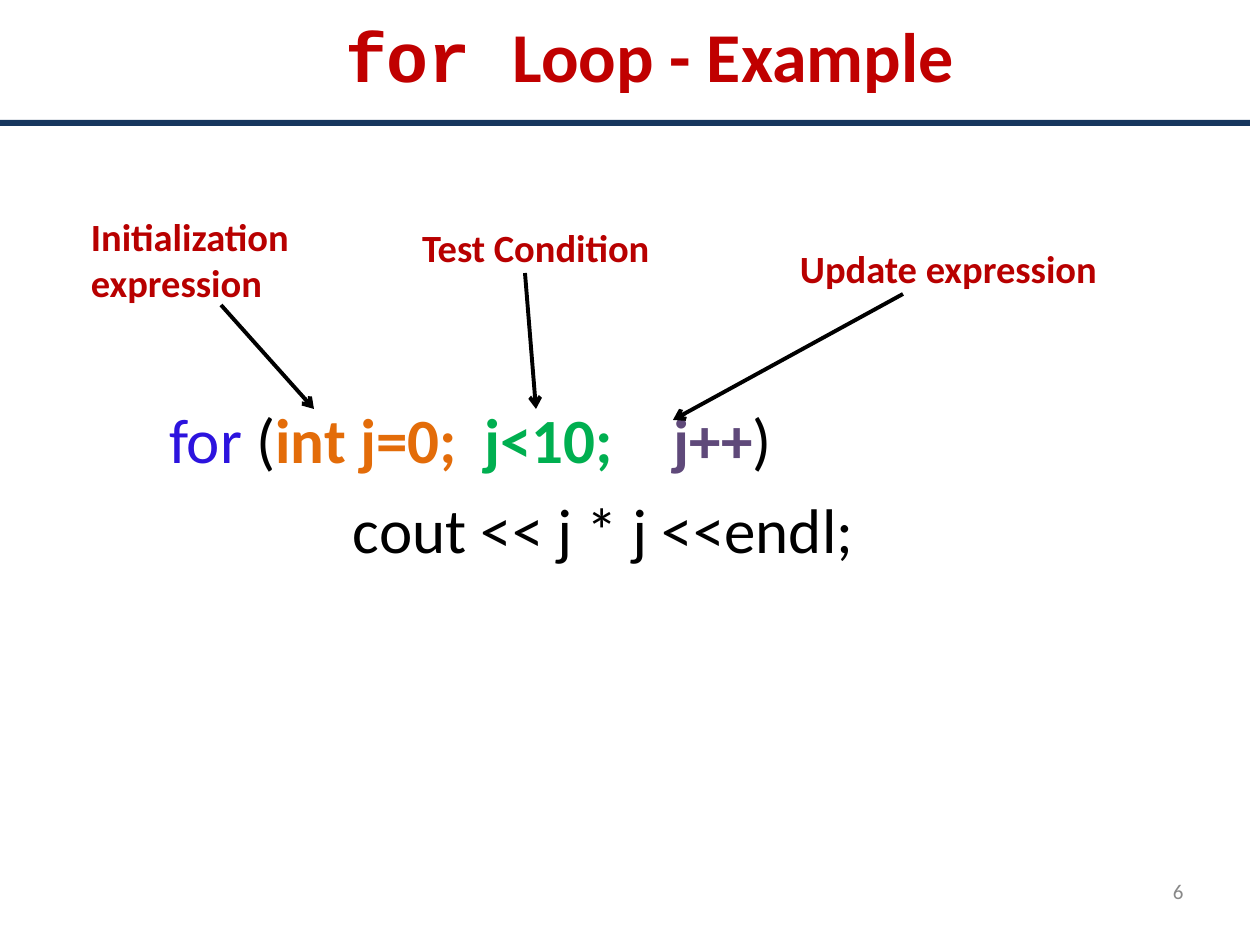
from lxml import etree
from pptx import Presentation
from pptx.dml.color import RGBColor
from pptx.enum.shapes import MSO_CONNECTOR, MSO_SHAPE
from pptx.enum.text import MSO_ANCHOR, MSO_AUTO_SIZE, PP_ALIGN
from pptx.oxml.ns import qn
from pptx.util import Pt

STRAIGHT, RECT = MSO_CONNECTOR.STRAIGHT, MSO_SHAPE.RECTANGLE
TOP, LEFT, FIXED = MSO_ANCHOR.TOP, PP_ALIGN.LEFT, MSO_AUTO_SIZE.NONE


class Theme:
    font, mono = "Calibri", "Courier New"
    title, code, label, page = 40, 36, 22, 12
    red, dark_red, navy = "C00000", "B80000", "17375E"
    blue, orange, green, purple = "2C13DE", "E36C09", "00AF50", "5F497A"
    black, gray = "000000", "888888"


# Content: each line is a list of (text, format) runs
TITLE = [[("for ", {"font": Theme.mono}), ("Loop - Example", {})]]
CODE = [
    [("for ", {"color": Theme.blue}), ("(", {}),
     ("int j=0;\t", {"color": Theme.orange, "bold": True}),
     ("j<10;\t", {"color": Theme.green, "bold": True}),
     ("j++", {"color": Theme.purple, "bold": True}), (")", {})],
    [("cout << j * j <<endl;", {})],
]
# Lines, box, arrow start, arrow tip
LABELS = [
    (["Initialization", "expression"], (90, 212, 202, 96), (221, 305), (314, 409)),
    (["Test Condition"], (421, 223, 232, 49), (525, 273), (536, 409)),
    (["Update expression"], (799, 244, 300, 49), (903, 294), (673, 420)),
]
PAGE = "6"


def px(n):
    return round(n * 914400 / 126)


def paint(fill, color):
    fill.solid()
    fill.fore_color.rgb = RGBColor.from_string(color)


def write(shape, lines, box, size, color, bold=False, font=Theme.font,
          top=1, indents=(0,), gap=0, tabs=()):
    """Place a text shape and fill it with formatted lines."""
    shape.left, shape.top, shape.width, shape.height = map(px, box)
    frame = shape.text_frame
    frame.word_wrap, frame.auto_size = True, FIXED
    frame.vertical_anchor = TOP
    frame.margin_left = frame.margin_right = frame.margin_bottom = 0
    frame.margin_top = px(top)
    for i, line in enumerate(lines):
        para = frame.add_paragraph() if i else frame.paragraphs[0]
        para.alignment = LEFT
        para.space_before = Pt(gap if i else 0)
        props = para._p.get_or_add_pPr()
        props.set("marL", str(px(indents[min(i, len(indents) - 1)])))
        props.set("indent", "0")
        etree.SubElement(props, qn("a:buNone"))
        if tabs:
            stops = etree.SubElement(props, qn("a:tabLst"))
            for tab in tabs:
                etree.SubElement(stops, qn("a:tab"), pos=str(px(tab)), algn="l")
        for text, form in line:
            run = para.add_run()
            run.text = text
            run.font.name = form.get("font", font)
            run.font.size = Pt(size)
            run.font.bold = form.get("bold", bold)
            paint(run.font.fill, form.get("color", color))


def arrow(slide, start, tip):
    line = slide.shapes.add_connector(STRAIGHT, *map(px, start + tip))
    line.line.width = Pt(2.25)
    paint(line.line.fill, Theme.black)
    etree.SubElement(line.line._get_or_add_ln(), qn("a:tailEnd"), type="arrow")
    etree.SubElement(line._element.spPr, qn("a:effectLst"))


def main():
    deck = Presentation()
    deck.slide_width, deck.slide_height = px(1260), px(945)
    slide = deck.slides.add_slide(deck.slide_layouts[1])
    shapes = slide.shapes

    # Rule under the title
    rule = shapes.add_shape(RECT, 0, px(120), px(1250), px(6))
    rule.shadow.inherit = False
    paint(rule.fill, Theme.navy)
    rule.line.fill.background()

    # Title and code
    write(shapes.title, TITLE, (60, -5, 1140, 122), Theme.title, Theme.red,
          bold=True, top=18, indents=(285,))
    write(slide.placeholders[1], CODE, (168, 384, 687, 185), Theme.code,
          Theme.black, top=16, indents=(1, 185), gap=8.7, tabs=(318, 475))

    # Labels with arrows to the parts of the loop
    for lines, box, start, tip in LABELS:
        arrow(slide, start, tip)
        write(shapes.add_textbox(0, 0, 0, 0), [[(text, {})] for text in lines],
              box, Theme.label, Theme.dark_red, bold=True, indents=(1,))

    # Page number
    write(shapes.add_textbox(0, 0, 0, 0), [[(PAGE, {})]], (1172, 878, 14, 29),
          Theme.page, Theme.gray, indents=(1,))
    deck.save("out.pptx")


if __name__ == "__main__":
    main()
